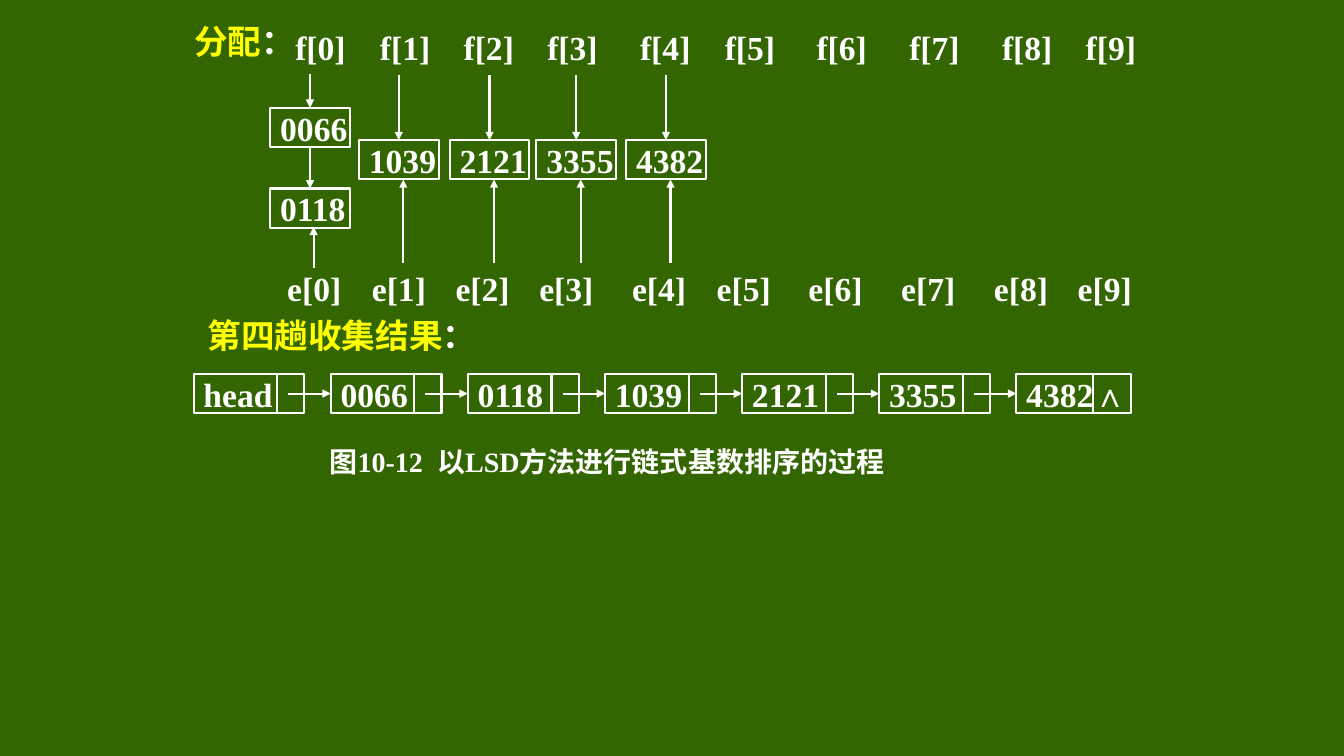
from lxml import etree
from pptx import Presentation
from pptx.dml.color import RGBColor
from pptx.enum.shapes import MSO_CONNECTOR, MSO_SHAPE
from pptx.enum.text import MSO_ANCHOR, PP_ALIGN
from pptx.oxml.ns import qn
from pptx.util import Inches, Pt

RECT = MSO_SHAPE.RECTANGLE
STRAIGHT = MSO_CONNECTOR.STRAIGHT
MIDDLE = MSO_ANCHOR.MIDDLE
LEFT = PP_ALIGN.LEFT

GREEN = RGBColor(0x33, 0x66, 0x00)
WHITE = RGBColor(0xFF, 0xFF, 0xFF)
YELLOW = RGBColor(0xFF, 0xFF, 0x00)
FONT = "Times New Roman"
ROW_H = 0.39
TOP, LEFT_SIDE, BOTTOM = 0, 1, 2

COLUMN_X = [0, 0.84, 1.67, 2.5, 3.42, 4.26, 5.17, 6.09, 7.01, 7.84]
BUCKETS = [(0.73, "1039"), (1.63, "2121"), (2.49, "3355"), (3.38, "4382")]
SORTED = ["head", "0066", "0118", "1039", "2121", "3355", "4382∧"]


def write(s, runs, size=24):
    tf = s.text_frame
    tf.word_wrap = False
    tf.vertical_anchor = MIDDLE
    p = tf.paragraphs[0]
    p.alignment = LEFT
    for text, color in runs:
        r = p.add_run()
        r.text = text
        r.font.name = FONT
        r.font.size = Pt(size)
        r.font.bold = True
        r.font.color.rgb = color


def add_label(slide, x, y, w, runs, size=24):
    s = slide.shapes.add_textbox(Inches(x), Inches(y), Inches(w), Inches(ROW_H))
    write(s, runs, size)


def add_record(slide, x, y, w, text):
    s = slide.shapes.add_shape(RECT, Inches(x), Inches(y), Inches(w), Inches(ROW_H))
    s.shadow.inherit = False
    s.fill.background()
    s.line.color.rgb = WHITE
    s.line.width = Pt(1.5)
    write(s, [(text, WHITE)])
    return s


def add_line(slide, x1, y1, x2, y2, arrow=True):
    c = slide.shapes.add_connector(STRAIGHT, Inches(x1), Inches(y1), Inches(x2), Inches(y2))
    c.line.color.rgb = WHITE
    c.line.width = Pt(1.5)
    if arrow:
        etree.SubElement(c.line._get_or_add_ln(), qn("a:tailEnd"), type="triangle")
    etree.SubElement(c._element.spPr, qn("a:effectLst"))
    return c


def add_distribution(slide, x, y, h):
    end_y = y + h - ROW_H
    add_label(slide, x - 1, y - 0.06, 0.94, [("分配", YELLOW), ("：", WHITE)])
    for i, dx in enumerate(COLUMN_X):
        add_label(slide, x + dx, y, 0.75, [(f"f[{i}]", WHITE)])
        add_label(slide, x + dx - 0.08, end_y, 0.75, [(f"e[{i}]", WHITE)])

    w = 0.79
    queue_x = x - 0.15
    mid = queue_x + w / 2
    first = add_record(slide, queue_x, y + 0.8, w, "0066")
    second = add_record(slide, queue_x, y + 1.6, w, "0118")
    add_line(slide, mid, y + 0.46, mid, y + 0.8).end_connect(first, TOP)
    link = add_line(slide, mid, y + 1.19, mid, y + 1.6)
    link.begin_connect(first, BOTTOM)
    link.end_connect(second, TOP)
    add_line(slide, x + 0.28, end_y, x + 0.28, y + 1.98)

    for dx, key in BUCKETS:
        left = x + dx
        mid = left + w / 2
        record = add_record(slide, left, y + 1.12, w, key)
        add_line(slide, mid, y + 0.47, mid, y + 1.12).end_connect(record, TOP)
        add_line(slide, left + 0.44, end_y - 0.05, left + 0.44, y + 1.51)


def add_collection(slide, x, y):
    add_label(slide, x + 0.04, y - 0.58, 2.68, [("第四趟收集结果", YELLOW), ("：", WHITE)])
    step = 1.36
    mid_y = y + ROW_H / 2
    for i, key in enumerate(SORTED):
        left = x + i * step
        last = i == len(SORTED) - 1
        node = add_record(slide, left, y, 1.14 if last else 1.1, key)
        split = left + (0.76 if last else 0.83)
        add_line(slide, split, y, split, y + ROW_H, arrow=False)
        if i:
            add_line(slide, left - 0.42, mid_y, left, mid_y).end_connect(node, LEFT_SIDE)


def add_caption(slide, x, y, w):
    add_label(slide, x, y, w, [("图10-12  以LSD方法进行链式基数排序的过程", WHITE)], 20)


def main():
    prs = Presentation()
    prs.slide_width = Inches(13.33)
    prs.slide_height = Inches(7.5)
    slide = prs.slides.add_slide(prs.slide_layouts[6])
    fill = slide.background.fill
    fill.solid()
    fill.fore_color.rgb = GREEN
    add_distribution(slide, 2.83, 0.27, 2.78)
    add_collection(slide, 1.92, 3.71)
    add_caption(slide, 3.17, 4.38, 6.2)
    prs.save("out.pptx")


if __name__ == "__main__":
    main()
